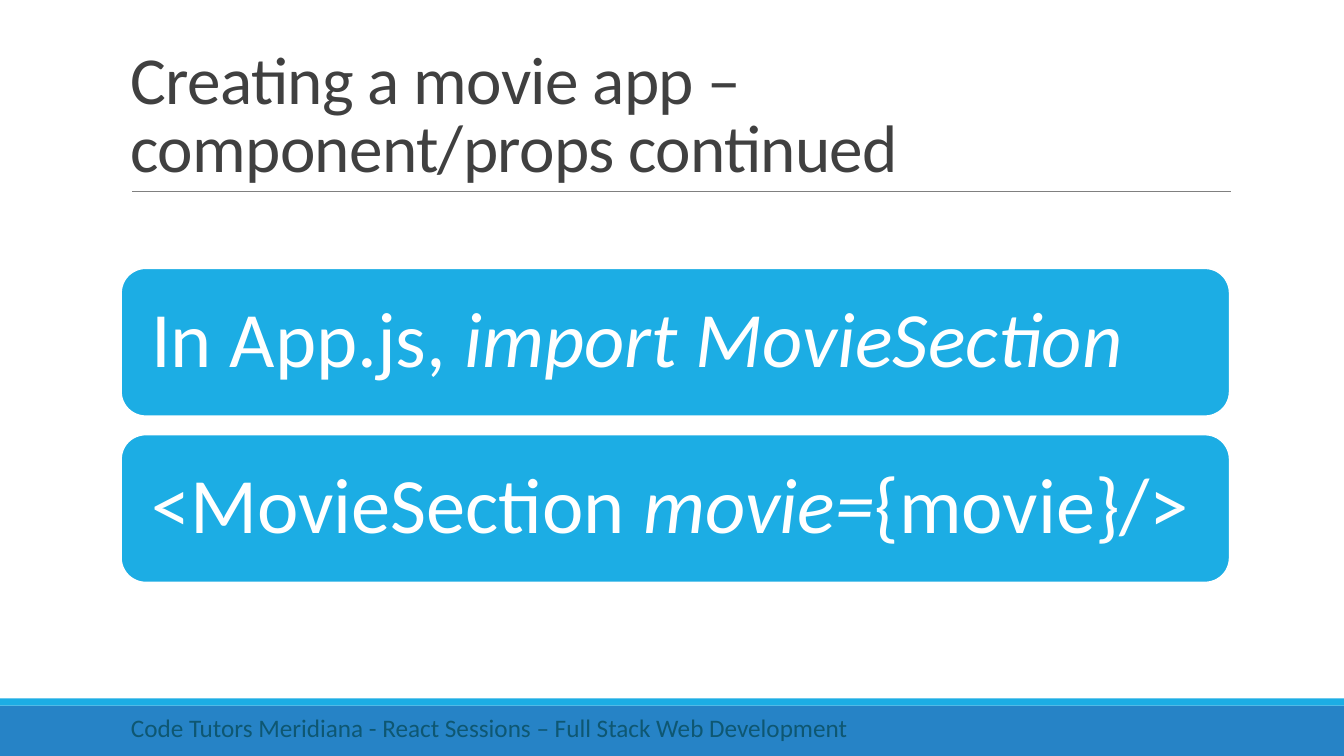
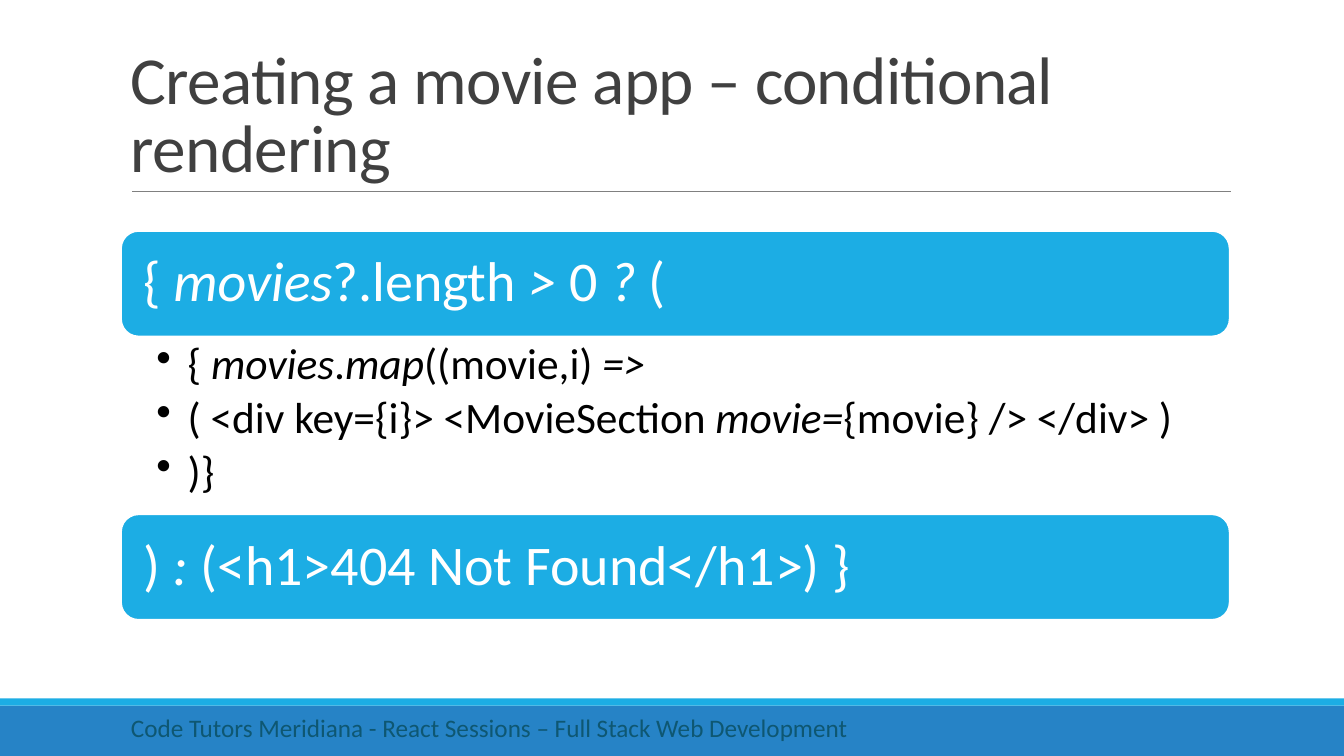
from lxml import etree
from pptx import Presentation
from pptx.dml.color import RGBColor
from pptx.enum.shapes import MSO_CONNECTOR, MSO_SHAPE
from pptx.enum.text import MSO_ANCHOR, PP_ALIGN
from pptx.oxml.ns import qn
from pptx.util import Cm, Pt

RECT, ROUND = MSO_SHAPE.RECTANGLE, MSO_SHAPE.ROUNDED_RECTANGLE
STRAIGHT = MSO_CONNECTOR.STRAIGHT
TOP, MIDDLE, BOTTOM = MSO_ANCHOR.TOP, MSO_ANCHOR.MIDDLE, MSO_ANCHOR.BOTTOM
LEFT = PP_ALIGN.LEFT

COLORS = {
    "card": "1CADE4", "band": "2683C6", "rule": "808080", "title": "404040",
    "footer": "0E5772", "white": "FFFFFF", "black": "000000",
}
FONT = "Calibri"
FOOTER = "Code Tutors Meridiana - React Sessions – Full Stack Web Development"

# Shared measures in centimetres
SLIDE_W, SLIDE_H = 33.87, 19.05
BODY_X, BODY_W = 3.05, 27.94
BAND_Y = 17.78
STRIPE_H = 0.18


def rgb(name):
    return RGBColor.from_string(COLORS[name])


def add_box(slide, shape, x, y, w, h, fill):
    sp = slide.shapes.add_shape(shape, Cm(x), Cm(y), Cm(w), Cm(h))
    sp.shadow.inherit = False
    sp.fill.solid()
    sp.fill.fore_color.rgb = rgb(fill)
    sp.line.fill.background()
    return sp


def add_textbox(slide, x, y, w, h):
    return slide.shapes.add_textbox(Cm(x), Cm(y), Cm(w), Cm(h))


def set_frame(sp, anchor, margins=(0.25, 0.13, 0.25, 0.13)):
    tf = sp.text_frame
    tf.word_wrap = True
    tf.vertical_anchor = anchor
    tf.margin_left, tf.margin_top, tf.margin_right, tf.margin_bottom = map(Cm, margins)
    return tf


def write(p, text, size, color, spacing=1.0):
    """Fill a paragraph; the parts between asterisks become italic."""
    p.alignment = LEFT
    p.line_spacing = spacing
    p.font.name = FONT
    p.font.size = Pt(size)
    p.font.color.rgb = rgb(color)
    for i, part in enumerate(text.split("*")):
        if part:
            r = p.add_run()
            r.text = part
            if i % 2:
                r.font.italic = True


def add_bullet(p, indent):
    pPr = p._p.get_or_add_pPr()
    pPr.set("marL", str(Cm(indent)))
    pPr.set("indent", str(-Cm(indent)))
    bullet = etree.Element(qn("a:buChar"), char="•")
    pPr.find(qn("a:defRPr")).addprevious(bullet)


def add_frame(prs, title):
    """New slide with bands, title, title rule and footer."""
    slide = prs.slides.add_slide(prs.slide_layouts[6])

    # Bottom bands
    add_box(slide, RECT, 0, BAND_Y, SLIDE_W, SLIDE_H - BAND_Y, "band")
    add_box(slide, RECT, 0, BAND_Y - STRIPE_H, SLIDE_W, STRIPE_H, "card")

    # Title and rule
    rule = slide.shapes.add_connector(STRAIGHT, Cm(3.33), Cm(4.83), Cm(31.01), Cm(4.83))
    rule.line.color.rgb = rgb("rule")
    rule.line.width = Pt(0.5)
    etree.SubElement(rule._element.spPr, qn("a:effectLst"))
    tf = set_frame(add_textbox(slide, BODY_X, 0.79, BODY_W, 4.04), BOTTOM)
    p = tf.paragraphs[0]
    write(p, title, 48, "title", 0.85)
    p._p.pPr.find(qn("a:defRPr")).set("spc", "-50")

    # Footer
    tf = set_frame(add_textbox(slide, BODY_X, 17.81, 19.76, 1.02), TOP)
    write(tf.paragraphs[0], FOOTER, 18, "footer")
    return slide


def add_card(slide, y, h, text, size, margin):
    sp = add_box(slide, ROUND, BODY_X, y, BODY_W, h, "card")
    sp.line.color.rgb = rgb("white")
    sp.line.width = Pt(1.25)
    tf = set_frame(sp, MIDDLE, (margin,) * 4)
    write(tf.paragraphs[0], text, size, "white", 0.9)


def add_bullets(slide, y, h, lines):
    sp = add_textbox(slide, BODY_X, y, BODY_W, h)
    tf = set_frame(sp, TOP, (0.89, 0.15, 0.79, 0.15))
    for i, line in enumerate(lines):
        p = tf.add_paragraph() if i else tf.paragraphs[0]
        write(p, line, 31, "black", 0.9)
        p.space_after = Pt(5)
        add_bullet(p, 0.79)


def main():
    prs = Presentation()
    prs.slide_width, prs.slide_height = Cm(SLIDE_W), Cm(SLIDE_H)

    # Slide 1: two equal cards
    slide = add_frame(prs, "Creating a movie app – component/props continued")
    top, card_h, gap = 6.76, 3.73, 0.46
    cards = ["In App.js, *import MovieSection*", "<MovieSection *movie=*{movie}/>"]
    for i, text in enumerate(cards):
        add_card(slide, top + i * (card_h + gap), card_h, text, 56, 0.58)

    # Slide 2: card, bullets, card
    slide = add_frame(prs, "Creating a movie app – conditional rendering")
    top, card_h, list_h = 5.82, 2.66, 4.48
    add_card(slide, top, card_h, "{ *movies*?.length *>* 0 *?* (", 40, 0.43)
    add_bullets(slide, top + card_h, list_h, [
        "{ *movies*.*map*((movie,i) *=>*",
        "( <div key={i}> <MovieSection *movie=*{movie} /> </div> )",
        ")}",
    ])
    add_card(slide, top + card_h + list_h, card_h,
             ") *: *(<h1>404 Not Found</h1>) }", 40, 0.43)

    prs.save("out.pptx")


if __name__ == "__main__":
    main()
